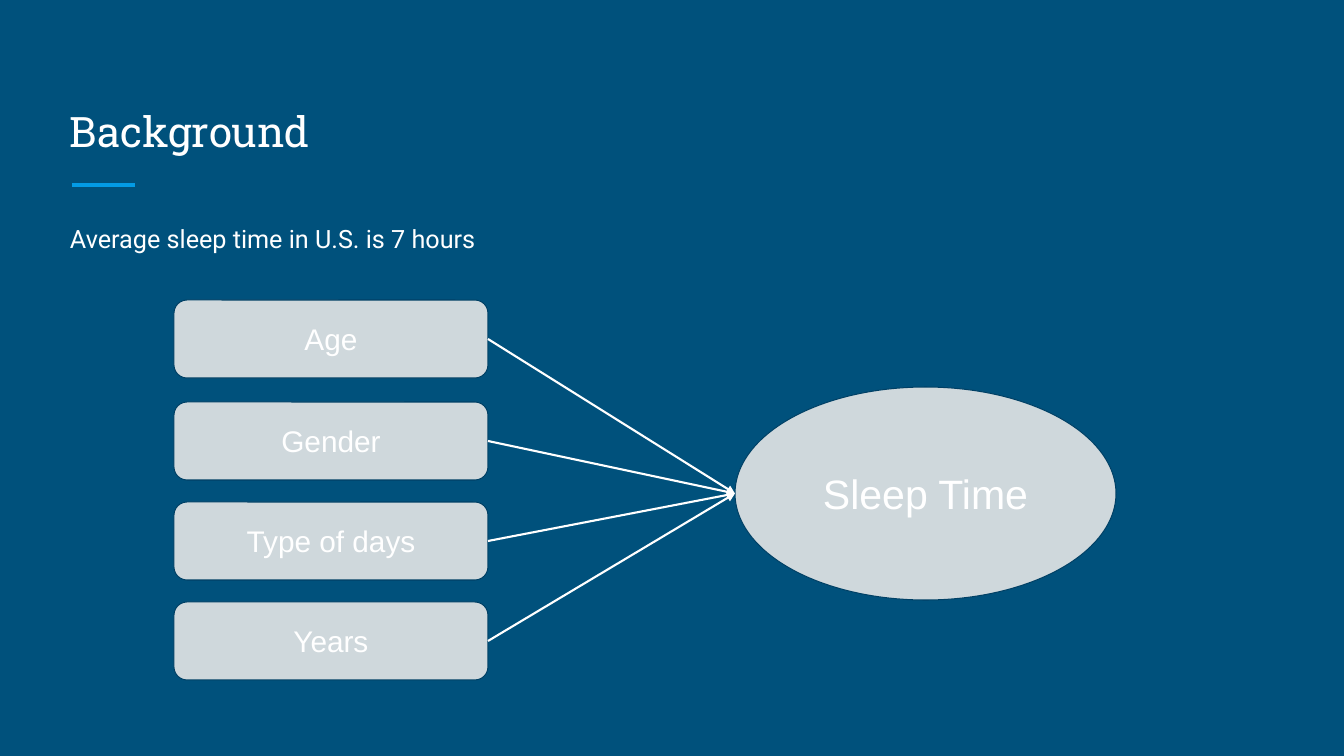
from dataclasses import dataclass

from lxml import etree
from pptx import Presentation, util as u
from pptx.dml.color import RGBColor
from pptx.enum import shapes, text
from pptx.oxml import ns
from pptx.shapes.autoshape import Shape
from pptx.shapes.connector import Connector
from pptx.slide import Slide
from pptx.text.text import TextFrame


@dataclass(frozen=True)
class Theme:
    background: str = "00517C"
    accent: str = "039BE5"
    node: str = "CFD8DC"
    outline: str = "004065"
    ink: str = "FFFFFF"
    title_font: str = "Roboto Slab"
    body_font: str = "Roboto"
    node_font: str = "Arial"
    title_size: float = 30
    body_size: float = 18
    factor_size: float = 21.3
    outcome_size: float = 29.3


@dataclass(frozen=True)
class Box:
    left: int
    top: int
    width: int
    height: int


@dataclass(frozen=True)
class Label:
    wording: str
    font: str
    size: float
    box: Box


@dataclass(frozen=True)
class Node:
    label: Label
    outline: shapes.MSO_SHAPE


THEME = Theme()
EMU_PER_INCH = 914400
PX_PER_INCH = 100.8
INSET = 13

TITLE = Label("Background", THEME.title_font, THEME.title_size, Box(57, 68, 1230, 101))
FACT = Label("Average sleep time in U.S. is 7 hours", THEME.body_font,
             THEME.body_size, Box(57, 206, 1230, 453))
OUTCOME = Node(Label("Sleep Time", THEME.node_font, THEME.outcome_size,
                     Box(735, 387, 381, 213)), shapes.MSO_SHAPE.OVAL)
FACTORS = [
    Node(Label(wording, THEME.node_font, THEME.factor_size, Box(174, top, 314, 78)),
         shapes.MSO_SHAPE.ROUNDED_RECTANGLE)
    for wording, top in (("Age", 300), ("Gender", 402), ("Type of days", 502), ("Years", 602))
]


def px(length: int) -> u.Emu:
    return u.Emu(round(length * EMU_PER_INCH / PX_PER_INCH))


def place(box: Box) -> tuple[u.Emu, u.Emu, u.Emu, u.Emu]:
    return px(box.left), px(box.top), px(box.width), px(box.height)


def colour(code: str) -> RGBColor:
    return RGBColor.from_string(code)


def write(frame: TextFrame, label: Label, anchor: text.MSO_ANCHOR,
          alignment: text.PP_ALIGN) -> None:
    frame.word_wrap = True
    frame.vertical_anchor = anchor
    frame.margin_left = frame.margin_right = px(INSET)
    frame.margin_top = frame.margin_bottom = px(INSET)
    paragraph = frame.paragraphs[0]
    paragraph.text = label.wording
    paragraph.alignment = alignment
    paragraph.font.name = label.font
    paragraph.font.size = u.Pt(label.size)
    paragraph.font.color.rgb = colour(THEME.ink)


def add_text(slide: Slide, label: Label, anchor: text.MSO_ANCHOR) -> TextFrame:
    frame = slide.shapes.add_textbox(*place(label.box)).text_frame
    write(frame, label, anchor, text.PP_ALIGN.LEFT)
    return frame


def add_node(slide: Slide, node: Node) -> Shape:
    shape = slide.shapes.add_shape(node.outline, *place(node.label.box))
    shape.shadow.inherit = False
    shape.fill.solid()
    shape.fill.fore_color.rgb = colour(THEME.node)
    shape.line.color.rgb = colour(THEME.outline)
    shape.line.width = u.Pt(0.75)
    write(shape.text_frame, node.label, text.MSO_ANCHOR.MIDDLE, text.PP_ALIGN.CENTER)
    return shape


def add_line(slide: Slide, start: tuple[int, int], end: tuple[int, int],
             code: str, weight: float) -> Connector:
    line = slide.shapes.add_connector(shapes.MSO_CONNECTOR.STRAIGHT, *start, *end)
    line.line.color.rgb = colour(code)
    line.line.width = u.Pt(weight)
    etree.SubElement(line._element.spPr, ns.qn("a:effectLst"))
    return line


def add_influence(slide: Slide, factor: Shape, outcome: Shape) -> None:
    start = (factor.left + factor.width, factor.top + factor.height // 2)
    end = (outcome.left, outcome.top + outcome.height // 2)
    arrow = add_line(slide, start, end, THEME.ink, 1.5)
    arrow.begin_connect(factor, 3)
    arrow.end_connect(outcome, 2)
    arrow.end_x, arrow.end_y = end
    etree.SubElement(arrow.line._get_or_add_ln(), ns.qn("a:tailEnd"), type="triangle")


def main() -> None:
    deck = Presentation()
    deck.slide_width, deck.slide_height = px(1344), px(756)
    slide = deck.slides.add_slide(deck.slide_layouts[6])
    slide.background.fill.solid()
    slide.background.fill.fore_color.rgb = colour(THEME.background)

    add_line(slide, (px(72), px(185)), (px(135), px(185)), THEME.accent, 3)
    add_text(slide, TITLE, text.MSO_ANCHOR.BOTTOM)
    fact = add_text(slide, FACT, text.MSO_ANCHOR.TOP).paragraphs[0]
    fact.line_spacing = 1.15
    fact.space_after = u.Pt(16)

    outcome = add_node(slide, OUTCOME)
    factors = [add_node(slide, factor) for factor in FACTORS]
    for factor in factors:
        add_influence(slide, factor, outcome)

    deck.save("out.pptx")


if __name__ == "__main__":
    main()
